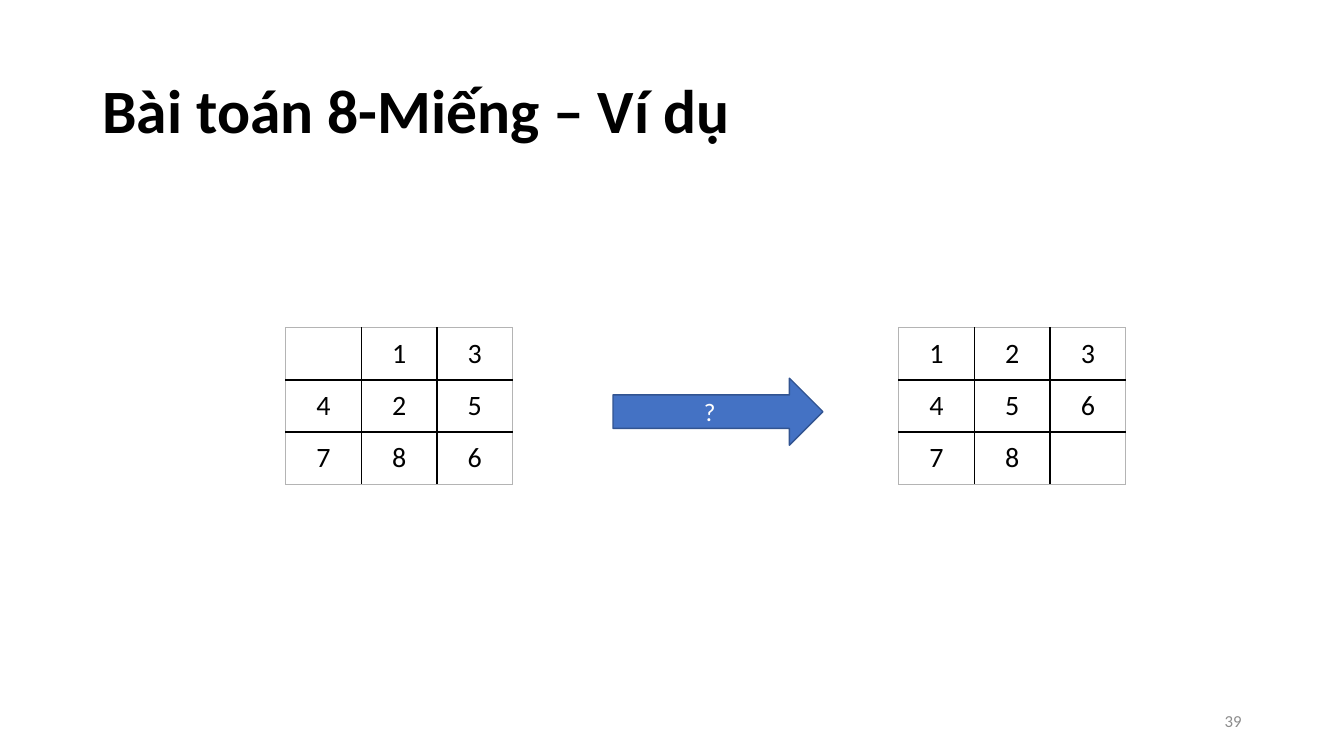
import dataclasses
import pptx
import pptx.util
import pptx.dml.color
import pptx.enum.shapes
import pptx.enum.text
import pptx.oxml.ns
import lxml.etree

Cm = pptx.util.Cm
Pt = pptx.util.Pt
Align = pptx.enum.text.PP_ALIGN
Anchor = pptx.enum.text.MSO_ANCHOR


@dataclasses.dataclass(frozen=True)
class Theme:
    font: str = "Calibri"
    ink: str = "000000"
    paper: str = "FFFFFF"
    fill: str = "4472C4"
    edge: str = "325491"
    faint: str = "8C8C8C"
    rim: str = "B4B4B4"
    title: int = 44
    tile: int = 20
    mark: int = 18
    page: int = 12


THEME = Theme()


def color(code):
    return pptx.dml.color.RGBColor.from_string(code)


def write(frame, text, size, ink=THEME.ink, bold=False, align=Align.CENTER, space=1.0):
    frame.word_wrap = True
    frame.vertical_anchor = Anchor.MIDDLE
    para = frame.paragraphs[0]
    para.alignment = align
    para.line_spacing = space
    run = para.add_run()
    run.text = text
    font = run.font
    font.name = THEME.font
    font.size = Pt(size)
    font.bold = bold
    font.color.rgb = color(ink)


def label(slide, box, text, size, **style):
    shape = slide.shapes.add_textbox(*map(Cm, box))
    write(shape.text_frame, text, size, **style)


def border(cell, side, code, width):
    qn = pptx.oxml.ns.qn
    props = cell._tc.get_or_add_tcPr()
    line = lxml.etree.SubElement(props, qn("a:" + side), w=str(Pt(width)))
    solid = lxml.etree.SubElement(line, qn("a:solidFill"))
    lxml.etree.SubElement(solid, qn("a:srgbClr"), val=code)


def board(slide, box, rows):
    count = len(rows)
    last = count - 1
    left, top, width, height = box
    frame = slide.shapes.add_table(count, count, *map(Cm, box))
    table = frame.table
    table.first_row = False
    table.horz_banding = False
    for line in table.columns:
        line.width = Cm(width / count)
    for line in table.rows:
        line.height = Cm(height / count)
    for y, row in enumerate(rows):
        for x, text in enumerate(row):
            cell = table.cell(y, x)
            cell.vertical_anchor = Anchor.MIDDLE
            outer = {"lnL": x == 0, "lnR": x == last, "lnT": y == 0, "lnB": y == last}
            for side, rim in outer.items():
                border(cell, side, THEME.rim if rim else THEME.ink, 0.75 if rim else 1)
            cell.fill.background()
            if text.strip():
                write(cell.text_frame, text, THEME.tile)


def arrow(slide, box, text):
    kind = pptx.enum.shapes.MSO_SHAPE.RIGHT_ARROW
    shape = slide.shapes.add_shape(kind, *map(Cm, box))
    shape.shadow.inherit = False
    shape.fill.solid()
    shape.fill.fore_color.rgb = color(THEME.fill)
    shape.line.color.rgb = color(THEME.edge)
    shape.line.width = Pt(1)
    write(shape.text_frame, text, THEME.mark, ink=THEME.paper)


def puzzle(slide, box, start, goal):
    left, top, width, height = box
    side = 5.72
    board(slide, (left, top, side, height), start)
    arrow(slide, (left + 8.25, top + 1.27, 5.29, 1.69), "?")
    board(slide, (left + width - side, top, side, height), goal)


def main():
    deck = pptx.Presentation()
    deck.slide_width = Cm(33.87)
    deck.slide_height = Cm(19.05)
    slide = deck.slides.add_slide(deck.slide_layouts[6])
    label(slide, (2.33, 1.02, 29.21, 3.68), "Bài toán 8-Miếng – Ví dụ", THEME.title,
          bold=True, align=Align.LEFT, space=0.9)
    puzzle(slide, (7.2, 8.26, 21.17, 3.94), (" 13", "425", "786"), ("123", "456", "78 "))
    label(slide, (23.92, 17.66, 7.62, 1.01), "39", THEME.page,
          ink=THEME.faint, align=Align.RIGHT)
    deck.save("out.pptx")


if __name__ == "__main__":
    main()
